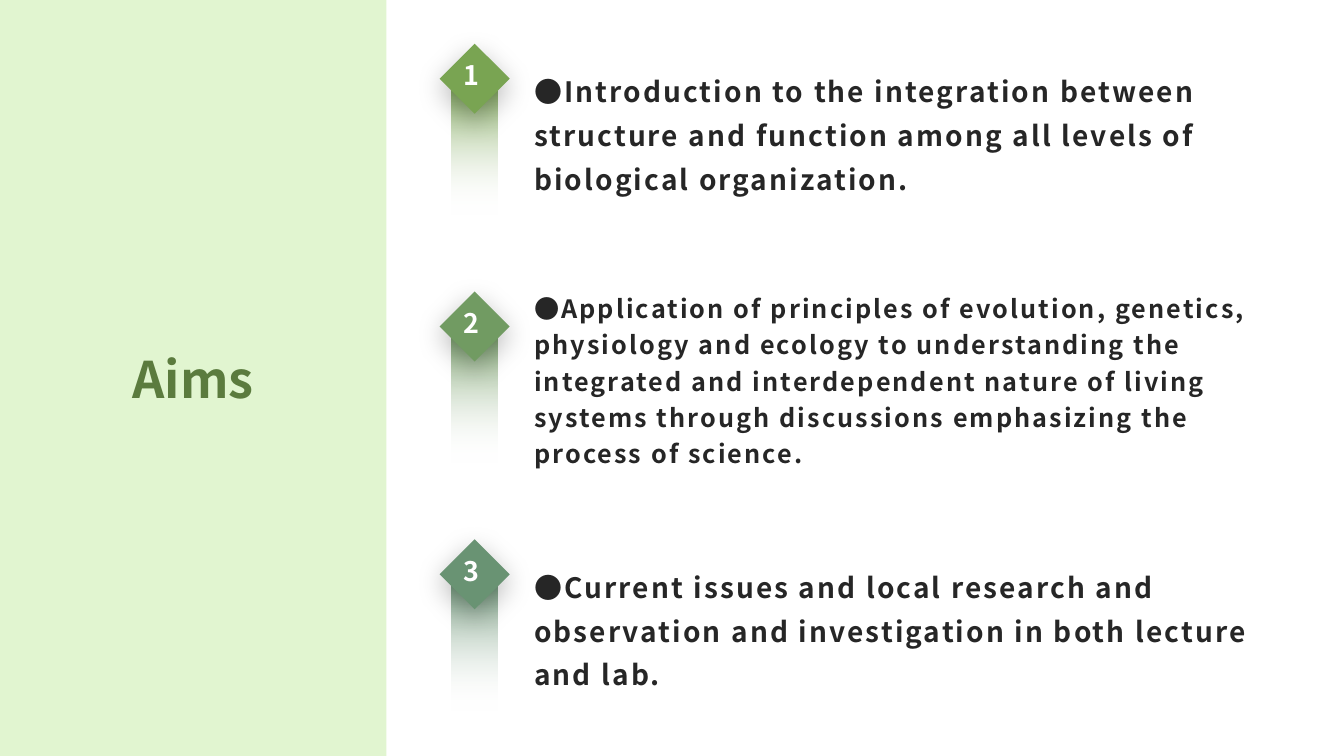
from lxml.etree import SubElement
from pptx import Presentation
from pptx.dml.color import RGBColor
from pptx.enum.shapes import MSO_SHAPE
from pptx.enum.text import MSO_ANCHOR, PP_ALIGN
from pptx.oxml import parse_xml
from pptx.oxml.ns import nsdecls, qn
from pptx.util import Inches, Pt

COLUMNS, ROWS = 80, 45
FONT = "Noto Sans CJK SC"
AIMS = [
    ("●Introduction to the integration between structure and function "
     "among all levels of biological organization.", 20, 1.3, "79A452"),
    ("●Application of principles of evolution, genetics, physiology and "
     "ecology to understanding the integrated and interdependent nature of "
     "living systems through discussions emphasizing the process of science.",
     18, 1.2, "719B62"),
    ("●Current issues and local research and observation and investigation "
     "in both lecture and lab.", 20, 1.3, "699373"),
]
FIRST_ROW, ROW_STEP = 2, 14.75


def color(code):
    return RGBColor.from_string(code)


class SlidePainter:
    """Places styled elements on a slide by grid columns and rows."""

    def __init__(self, deck):
        self.page = deck.slides.add_slide(deck.slide_layouts[6])
        self.column = deck.slide_width / COLUMNS
        self.row = deck.slide_height / ROWS

    def place(self, left, top, width, height):
        return (round(left * self.column), round(top * self.row),
                round(width * self.column), round(height * self.row))

    def shape(self, kind, area, fill):
        shape = self.page.shapes.add_shape(kind, *self.place(*area))
        shape.shadow.inherit = False
        shape.line.fill.background()
        shape.fill.solid()
        shape.fill.fore_color.rgb = color(fill)
        return shape

    def fading_bar(self, area, fill):
        bar = self.shape(MSO_SHAPE.RECTANGLE, area, fill)
        bar.fill.gradient()
        bar.fill.gradient_angle = 90
        for stop, code in zip(bar.fill.gradient_stops, ("FFFFFF", fill)):
            stop.color.rgb = color(code)
        # The lower end is fully transparent
        clear_end = next(bar._element.iter(qn("a:srgbClr")))
        SubElement(clear_end, qn("a:alpha"), val="0")

    def diamond(self, area, fill):
        diamond = self.shape(MSO_SHAPE.FLOWCHART_DECISION, area, fill)
        effects = diamond._element.spPr.find(qn("a:effectLst"))
        effects.append(parse_xml(
            f'<a:outerShdw {nsdecls("a")} blurRad="{Pt(20)}" dist="{Pt(6)}" '
            'dir="5400000" algn="t" rotWithShape="0"><a:srgbClr val="000000">'
            '<a:alpha val="27000"/></a:srgbClr></a:outerShdw>'))

    def text(self, area, words, size, ink, line=None, tracking=None,
             align=None, inset=None):
        frame = self.page.shapes.add_textbox(*self.place(*area)).text_frame
        frame.word_wrap = True
        frame.vertical_anchor = MSO_ANCHOR.MIDDLE
        if inset is not None:
            frame.margin_left = frame.margin_right = Inches(inset)
            frame.margin_top = frame.margin_bottom = Inches(inset)
        para = frame.paragraphs[0]
        para.text = words
        para.line_spacing = line
        para.alignment = align
        para.font.size = Pt(size)
        para.font.bold = True
        para.font.color.rgb = color(ink)
        para.font.name = FONT
        # East Asian face and letter spacing
        style = para._p.pPr.find(qn("a:defRPr"))
        SubElement(style, qn("a:ea"), typeface=FONT)
        if tracking:
            style.set("spc", str(round(tracking * 100)))


def main():
    deck = Presentation()
    deck.slide_width, deck.slide_height = Inches(13.33), Inches(7.5)
    painter = SlidePainter(deck)

    # Side panel
    painter.shape(MSO_SHAPE.RECTANGLE, (0, 0, 23, ROWS), "E1F5D0")

    # Numbered aims
    for index, (words, size, line, fill) in enumerate(AIMS):
        top = FIRST_ROW + index * ROW_STEP
        painter.text((31.2, top, 45.7, 11.5), words, size, "262626",
                     line=line, tracking=1.5)
        painter.fading_bar((26.87, top + 2.93, 2.73, 7.87), fill)
        painter.diamond((26.17, top + 0.6, 4.17, 4.17), fill)
        painter.text((27, top + 0.85, 2, 3.25), str(index + 1), 19.2, "FFFFFF")

    # Title
    painter.text((2, 2, 19, 41), "Aims", 36, "5B7B3E",
                 align=PP_ALIGN.CENTER, inset=0)
    deck.save("out.pptx")


if __name__ == "__main__":
    main()
